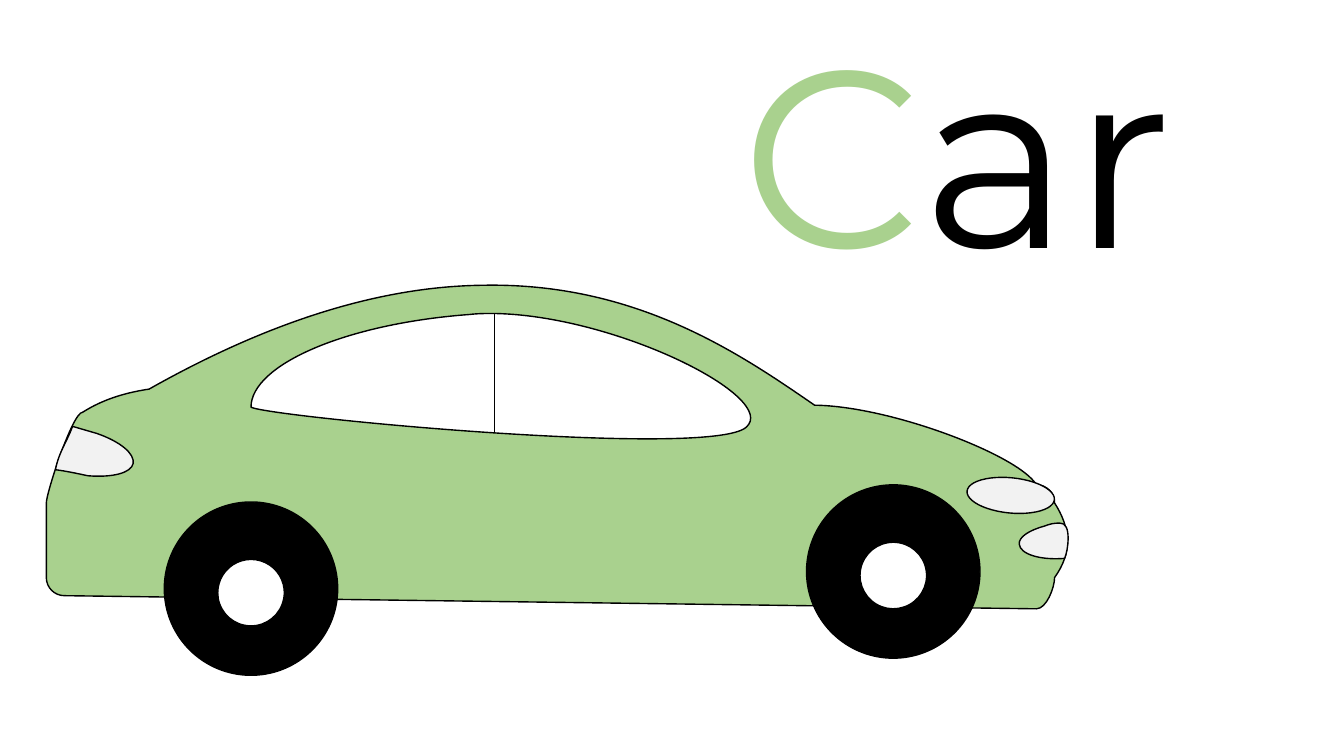
from math import asin, atan, ceil, cos, pi, radians, sin, tan
from lxml.etree import SubElement
from pptx import Presentation
from pptx.dml.color import RGBColor
from pptx.enum.shapes import MSO_CONNECTOR, MSO_SHAPE
from pptx.enum.text import MSO_ANCHOR, MSO_AUTO_SIZE, PP_ALIGN
from pptx.oxml.ns import qn
from pptx.util import Inches, Pt

# Content, in inches. A line is (x, y); a curve is two controls and an end.
WORD = (("C", "green"), ("ar", "black"))
WORD_BOX = (7.25, -0.08, 5.5, 3.13)

# Wheels: tyre centres, with each hub set a little lower
REAR, FRONT = (2.49, 5.84), (8.86, 5.67)
TYRE, HUB, DROP = 0.86, 0.33, 0.04
SILL = ((0.64, 5.91), (10.28, 6.04))  # lower edge that cuts both wheels
CORNER = 0.18                         # rounding of the rear bumper

# Body panels, from the roof to the rear, then from the nose to the roof
ROOF, TRUNK, COWL = (4.79, 2.83), (1.48, 3.86), (8.08, 4.02)
BACK = {
    "start": ROOF,
    "rear roof": (3.88, 2.84, 2.79, 3.12, *TRUNK),
    "trunk": (1.22, 3.9, 1.01, 3.97, 0.82, 4.09),
    "tail": (0.72, 4.09, 0.46, 4.89, 0.46, 4.99)}
NOSE = {
    "lower bumper": (10.38, 6.04, 10.46, 5.83, 10.46, 5.73),
    "nose": (10.64, 5.48, 10.62, 5.24, 10.46, 4.99),
    "grille": (10.46, 4.89, 10.38, 4.81, 10.28, 4.81),
    "hood": (10.11, 4.52, 8.84, 4.03, *COWL),
    "front roof": (7.34, 3.51, 6.31, 2.8, *ROOF)}

# Window, with a pillar from its top edge
PEAK, FLOOR = (4.9, 3.11), 5.13
WINDOW = {
    "start": PEAK,
    "windscreen": (6.12, 3.13, 7.74, 3.95, 7.4, 4.24),
    "ledge": (7.04, 4.55, 2.7, 4.14, 2.49, 4.04),
    "rear screen": (2.49, 3.62, 3.43, 3.21, 4.66, 3.12),
    "top": (4.74, 3.11, 4.82, 3.11, *PEAK)}

# Lamps: outline, tilt in degrees and the point it turns about
TAIL_LAMP = {
    "start": (0.72, 4.23),
    "outer": (0.67, 4.37, 0.58, 4.49, 0.55, 4.66),
    "lower": (0.64, 4.67, 0.78, 4.7, 0.87, 4.72),
    "tip": (1.12, 4.74, 1.3, 4.69, 1.32, 4.6),
    "upper": (1.34, 4.5, 1.19, 4.38, 0.96, 4.3)}
FOG_LAMP = {
    "start": (10.36, 5.22),
    "tip": (10.21, 5.26, 10.1, 5.33, 10.11, 5.4),
    "lower": (10.12, 5.5, 10.32, 5.56, 10.56, 5.54),
    "outer": (10.59, 5.48, 10.64, 5.18, 10.51, 5.19),
    "upper": (10.45, 5.19, 10.41, 5.2, 10.36, 5.22)}
TAIL_TILT, TAIL_MID = 13.4, (0.96, 4.52)
FOG_TILT, FOG_MID = -4.4, (10.36, 5.37)
HEAD_BOX, HEAD_TILT = (9.59, 4.74, 0.87, 0.35), 5.6

THEME = {
    "green": RGBColor(0xA9, 0xD1, 0x8E), "black": RGBColor(0, 0, 0),
    "lamp": RGBColor(0xF2, 0xF2, 0xF2), "font": "Montserrat",
    "size": Pt(180), "edge": Pt(1), "thin": Pt(0.5)}


# Geometry: angles grow clockwise from the right
def pairs(seg):
    return list(zip(seg[::2], seg[1::2]))


def arc(mid, radius, start, end):
    """A start point, then curves of a quarter turn or less."""
    def spot(a, pull=0):
        return (mid[0] + radius * (cos(a) - pull * sin(a)),
                mid[1] + radius * (sin(a) + pull * cos(a)))
    count = ceil(abs(end - start) / (pi / 2))
    step = (end - start) / count
    pull = 4 / 3 * tan(step / 4)
    out = [spot(start)]
    for i in range(count):
        a, b = start + i * step, start + (i + 1) * step
        out.append(spot(a, pull) + spot(b, -pull) + spot(b))
    return out


def cut(mid, radius):
    """Angles where the sill leaves a circle on the left and on the right."""
    (x1, y1), (x2, y2) = SILL
    slope = (y2 - y1) / (x2 - x1)
    tilt = atan(slope)
    gap = (y1 + slope * (mid[0] - x1) - mid[1]) * cos(tilt)
    bend = asin(gap / radius)
    return tilt + pi - bend, tilt + bend


def arch(mid, radius, turns=1):
    """Left to right along a circle: above the sill, or below for turns=0."""
    left, right = cut(mid, radius)
    return arc(mid, radius, left, right + turns * 2 * pi)


def half(mid, turns):
    """Half a wheel: out along the tyre and back along the hub."""
    hub = (mid[0], mid[1] + DROP)
    left, right = cut(hub, HUB)
    return arch(mid, TYRE, turns) + arc(hub, HUB, right + turns * 2 * pi, left)


def rotate(contour, angle, mid):
    c, s = cos(radians(angle)), sin(radians(angle))
    (a, b), out = mid, []
    for seg in contour:
        out.append(sum(((a + (x - a) * c - (y - b) * s,
                         b + (x - a) * s + (y - b) * c)
                        for x, y in pairs(seg)), ()))
    return out


def sample(contour, steps=24):
    """Points along a contour, which give the shape its true bounds."""
    out = [contour[0]]
    for seg in contour[1:]:
        if len(seg) == 2:
            out.append(seg)
            continue
        nodes = [out[-1]] + pairs(seg)
        for t in (i / steps for i in range(1, steps + 1)):
            u = 1 - t
            mix = (u ** 3, 3 * u * u * t, 3 * u * t * t, t ** 3)
            out.append(tuple(sum(m * n[k] for m, n in zip(mix, nodes))
                             for k in (0, 1)))
    return out


# Drawing
def paint(shape, fill, tilt=0):
    shape.rotation = tilt
    shape.shadow.inherit = False
    shape.fill.solid()
    shape.fill.fore_color.rgb = THEME[fill]
    shape.line.color.rgb = THEME["black"]
    shape.line.width = THEME["edge"]


def outline(group, fill, *contours, tilt=0, mid=(0, 0)):
    contours = [rotate(c, -tilt, mid) for c in contours]
    pen = group.shapes.build_freeform()
    for i, contour in enumerate(contours):
        first, *rest = [(Inches(x), Inches(y)) for x, y in sample(contour)]
        if i == 0:
            pen = group.shapes.build_freeform(*first)
        else:
            pen.move_to(*first)
        pen.add_line_segments(rest, close=True)
    shape = pen.convert_to_shape()

    # Trade the sampled segments for true curves
    track = shape._element.find(".//" + qn("a:path"))
    for step in list(track):
        track.remove(step)
    for contour in contours:
        for i, seg in enumerate(contour):
            kind = "moveTo" if i == 0 else "lnTo" if len(seg) == 2 else "cubicBezTo"
            step = SubElement(track, qn("a:" + kind))
            for x, y in pairs(seg):
                SubElement(step, qn("a:pt"), x=str(Inches(x) - shape.left),
                           y=str(Inches(y) - shape.top))
        SubElement(track, qn("a:close"))
    paint(shape, fill, tilt)


def write(title):
    title.left, title.top, title.width, title.height = map(Inches, WORD_BOX)
    frame = title.text_frame
    frame.word_wrap = True
    frame.auto_size = MSO_AUTO_SIZE.SHAPE_TO_FIT_TEXT
    frame.vertical_anchor = MSO_ANCHOR.TOP
    para = frame.paragraphs[0]
    para.alignment = PP_ALIGN.LEFT
    para.font.name, para.font.size = THEME["font"], THEME["size"]
    for text, color in WORD:
        run = para.add_run()
        run.text = text
        run.font.color.rgb = THEME[color]


def main():
    deck = Presentation()
    deck.slide_width, deck.slide_height = Inches(13.33), Inches(7.5)
    slide = deck.slides.add_slide(deck.slide_layouts[5])
    write(slide.shapes.title)
    car = slide.shapes.add_group_shape()

    # Pillar, mostly hidden by the body
    ends = map(Inches, (*PEAK, PEAK[0], FLOOR))
    pillar = car.shapes.add_connector(MSO_CONNECTOR.STRAIGHT, *ends)
    pillar.line.color.rgb, pillar.line.width = THEME["black"], THEME["thin"]
    SubElement(pillar._element.spPr, qn("a:effectLst"))

    # Upper wheels, body with its arches and window, lower wheels
    for wheel in (FRONT, REAR):
        outline(car, "black", half(wheel, 1))
    heel = (SILL[0][0], SILL[0][1] - CORNER)
    body = [*BACK.values(), *arc(heel, CORNER, pi, pi / 2),
            *arch(REAR, TYRE), *arch(FRONT, TYRE), SILL[1], *NOSE.values()]
    outline(car, "green", body, list(WINDOW.values()))
    for wheel in (REAR, FRONT):
        outline(car, "black", half(wheel, 0))

    # Lamps
    outline(car, "lamp", list(TAIL_LAMP.values()), tilt=TAIL_TILT, mid=TAIL_MID)
    head = car.shapes.add_shape(MSO_SHAPE.OVAL, *map(Inches, HEAD_BOX))
    paint(head, "lamp", HEAD_TILT)
    outline(car, "lamp", list(FOG_LAMP.values()), tilt=FOG_TILT, mid=FOG_MID)
    deck.save("out.pptx")


if __name__ == "__main__":
    main()
